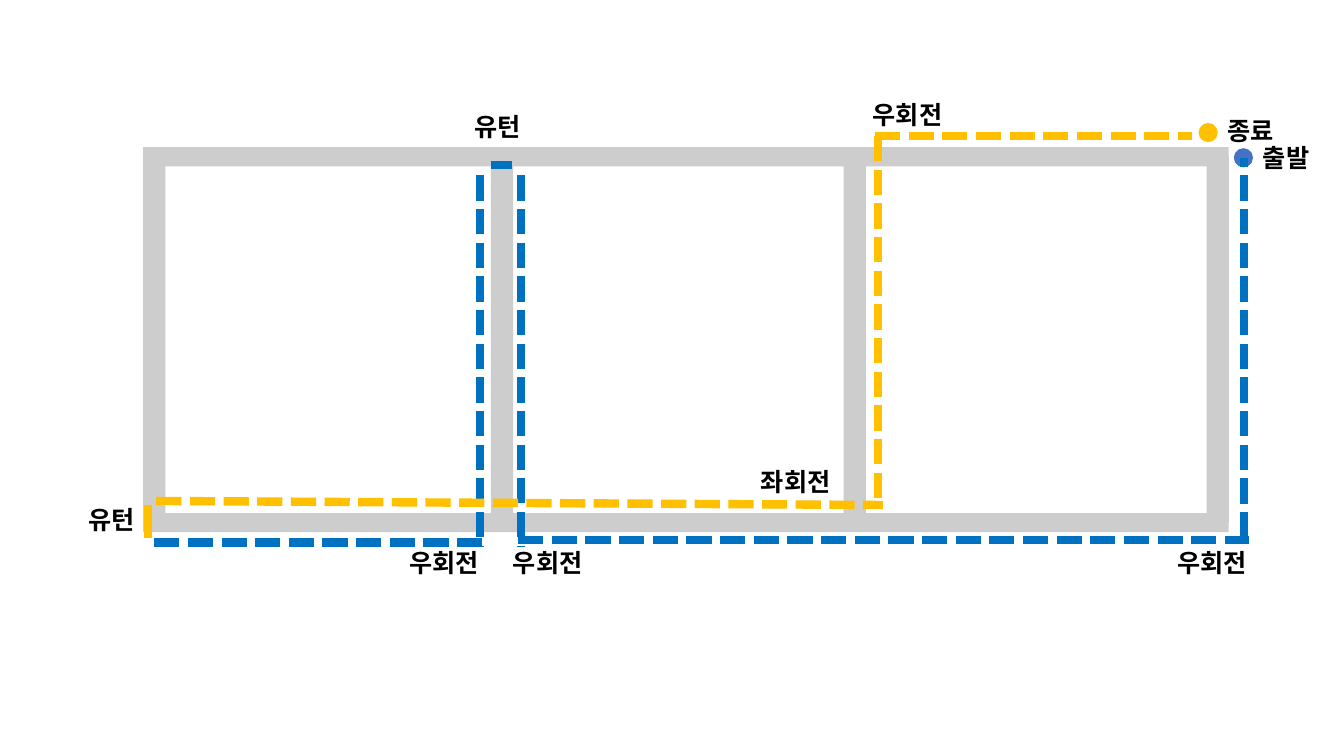
from lxml import etree
from pptx import Presentation, util as u
from pptx.dml.color import RGBColor
from pptx.enum import dml, shapes, text
from pptx.oxml.ns import qn


class Theme:
    road, out, back = "CDCDCD", "0070C0", "FFC000"
    start, ink = "4472C4", "000000"
    font, size, line = "Noto Sans CJK KR", 18, 6


# The slide is a grid of square cells, 75 rows high
COLS, ROWS = 133.33, 75
CELL = u.Inches(0.1)
MAP = (14.2, 14.6, 107.7, 38.2)  # left, top, width, height in cells
WIDE, THICK, DOT = 2.2, 1.9, 1.9

# Straight legs in cells from the map's corner: x1, y1, x2, y2, dashed
OUT = [
    (109.2, 38.7, 109.2, 1.1, True),
    (37.2, 39, 109.7, 39, True),
    (37.5, 2.8, 37.5, 39.6, True),
    (34.5, 1.8, 36.6, 1.8, False),
    (33.4, 2.8, 33.4, 39.6, True),
    (1.1, 39.2, 33.7, 39.2, True),
]
BACK = [
    (0.5, 35.5, 0.5, 38.8, False),
    (1.3, 35.1, 73.4, 35.5, True),
    (72.9, -1.1, 72.9, 35.7, True),
    (72.6, -1.1, 104.1, -1.1, True),
]
DOTS = [(108.2, 0.1, Theme.start), (104.7, -2.4, Theme.back)]
LABELS = [
    ("출발", 110.1, -1, 7.1),
    ("우회전", 101.6, 39.2, 9.8),
    ("우회전", 35.7, 39.2, 9.8),
    ("유턴", 31.9, -4, 9.8),
    ("우회전", 25.4, 39.2, 9.8),
    ("유턴", -6.4, 34.9, 9.8),
    ("좌회전", 60.3, 31.2, 9.8),
    ("우회전", 71.4, -5.2, 9.8),
    ("종료", 106.6, -3.7, 7.1),
]


def place(box, x, y):
    return round((box[0] + x) * CELL), round((box[1] + y) * CELL)


def block(slide, box, kind, x, y, w, h, color):
    part = slide.shapes.add_shape(
        kind, *place(box, x, y), round(w * CELL), round(h * CELL))
    part.shadow.inherit = False
    part.fill.solid()
    part.fill.fore_color.rgb = RGBColor.from_string(color)
    part.line.fill.background()


def roads(slide, box):
    wide, high = box[2:]
    bars = [(0, y, wide, THICK) for y in (0, high - THICK)]
    bars += [(x, THICK / 2, WIDE, high - THICK)
             for x in (0, 34.5, 69.5, wide - WIDE)]
    for bar in bars:
        block(slide, box, shapes.MSO_SHAPE.RECTANGLE, *bar, Theme.road)


def route(slide, box, legs, color):
    for x1, y1, x2, y2, dashed in legs:
        leg = slide.shapes.add_connector(
            shapes.MSO_CONNECTOR.STRAIGHT,
            *place(box, x1, y1), *place(box, x2, y2))
        leg.line.color.rgb = RGBColor.from_string(color)
        leg.line.width = u.Pt(Theme.line)
        if dashed:
            leg.line.dash_style = dml.MSO_LINE.SQUARE_DOT
        etree.SubElement(leg.element.spPr, qn("a:effectLst"))


def dots(slide, box):
    for x, y, color in DOTS:
        block(slide, box, shapes.MSO_SHAPE.OVAL, x, y, DOT, DOT, color)


def labels(slide, box):
    form = {"name": Theme.font, "size": u.Pt(Theme.size), "bold": True}
    for words, x, y, wide in LABELS:
        note = slide.shapes.add_textbox(
            *place(box, x, y), round(wide * CELL), 4 * CELL)
        frame = note.text_frame
        frame.word_wrap = True
        frame.auto_size = text.MSO_AUTO_SIZE.SHAPE_TO_FIT_TEXT
        run = frame.paragraphs[0].add_run()
        run.text = words
        for key, value in form.items():
            setattr(run.font, key, value)
        run.font.color.rgb = RGBColor.from_string(Theme.ink)
        # Hangul takes the East Asian typeface
        east = etree.SubElement(run.font._element, qn("a:ea"))
        east.set("typeface", Theme.font)


def main():
    deck = Presentation()
    deck.slide_width = round(COLS * CELL)
    deck.slide_height = ROWS * CELL
    slide = deck.slides.add_slide(deck.slide_layouts[6])
    roads(slide, MAP)
    dots(slide, MAP)
    route(slide, MAP, OUT, Theme.out)
    route(slide, MAP, BACK, Theme.back)
    labels(slide, MAP)
    deck.save("out.pptx")


if __name__ == "__main__":
    main()
